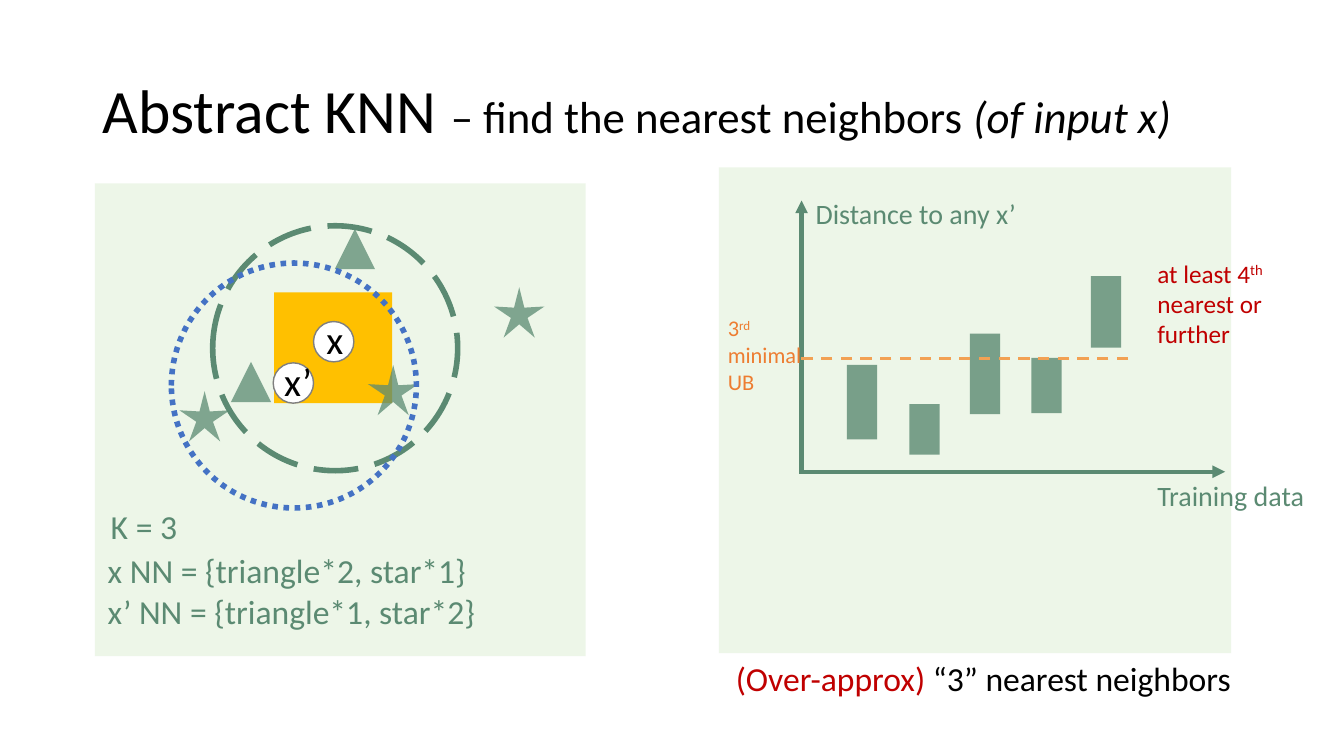
from lxml import etree
from pptx import Presentation
from pptx.dml.color import RGBColor
from pptx.enum.dml import MSO_LINE
from pptx.enum.shapes import MSO_CONNECTOR, MSO_SHAPE
from pptx.enum.text import MSO_ANCHOR, MSO_AUTO_SIZE, PP_ALIGN
from pptx.oxml.ns import qn
from pptx.util import Inches, Pt

RECT = MSO_SHAPE.RECTANGLE
OVAL = MSO_SHAPE.OVAL
STAR = MSO_SHAPE.STAR_5_POINT
TRIANGLE = MSO_SHAPE.ISOSCELES_TRIANGLE
STRAIGHT = MSO_CONNECTOR.STRAIGHT
DASH = MSO_LINE.DASH
LONG_DASH = MSO_LINE.LONG_DASH
DOTS = MSO_LINE.ROUND_DOT
MIDDLE = MSO_ANCHOR.MIDDLE
LEFT = PP_ALIGN.LEFT
GROW = MSO_AUTO_SIZE.SHAPE_TO_FIT_TEXT
NO_FIT = MSO_AUTO_SIZE.NONE

FONT = "Calibri"
COLORS = {
    "green": "5B8A72", "panel": "E2F0D9", "gold": "FFC000", "blue": "4472C4",
    "orange": "ED7D31", "bound": "F2A154", "red": "C00000", "gray": "7F7F7F",
    "black": "000000", "white": "FFFFFF",
}


def draw(kind, box, fill=None, alpha=100, line=None, width=1, dash=None):
    shape = slide.shapes.add_shape(kind, *map(Inches, box))
    shape.shadow.inherit = False
    if fill:
        shape.fill.solid()
        shape.fill.fore_color.rgb = RGBColor.from_string(COLORS[fill])
        if alpha < 100:
            color = shape.fill._xPr.find(qn("a:solidFill"))[0]
            etree.SubElement(color, qn("a:alpha"), val=str(alpha * 1000))
    else:
        shape.fill.background()
    if line:
        shape.line.color.rgb = RGBColor.from_string(COLORS[line])
        shape.line.width = Pt(width)
        if dash:
            shape.line.dash_style = dash
    else:
        shape.line.fill.background()
    return shape


def write(paragraph, parts, size, color):
    for text, style in parts:
        run = paragraph.add_run()
        run.text = text
        run.font.name = FONT
        run.font.size = Pt(style.get("size", size))
        run.font.color.rgb = RGBColor.from_string(COLORS[style.get("color", color)])
        if style.get("italic"):
            run.font.italic = True
        if style.get("raised"):
            run._r.get_or_add_rPr().set("baseline", "30000")


prs = Presentation()
prs.slide_width = Inches(13.33)
prs.slide_height = Inches(7.5)
slide = prs.slides.add_slide(prs.slide_layouts[5])

title = slide.shapes.title
title.left, title.top, title.width, title.height = map(Inches, (0.92, 0.4, 11.85, 1.45))
title.text_frame.vertical_anchor = MIDDLE
title.text_frame.auto_size = NO_FIT
title.text_frame.word_wrap = True
heading = title.text_frame.paragraphs[0]
heading.alignment = LEFT
heading.line_spacing = 0.9
write(heading, [
    ("Abstract KNN ", {"size": 44}),
    ("– find the nearest neighbors ", {}),
    ("(of input x)", {"italic": True}),
], 32, "black")

draw(RECT, (7.13, 1.66, 5.08, 4.82), "panel", 60)
draw(RECT, (0.94, 1.82, 4.87, 4.69), "panel", 60)
draw(RECT, (2.72, 2.9, 1.17, 1.1), "gold")

for left, top, height in [
    (8.4, 3.62, 0.74), (9.02, 4.01, 0.5), (9.62, 3.31, 0.8),
    (10.23, 3.55, 0.55), (10.82, 2.74, 0.71),
]:
    draw(RECT, (left, top, 0.3, height), "green", 80)

for ends, color, width, dash in [
    ((7.95, 4.7, 7.95, 1.99), "green", 3, None),
    ((7.95, 4.68, 12.15, 4.68), "green", 3, None),
    ((11.19, 3.56, 7.89, 3.56), "bound", 2, DASH),
]:
    rule = slide.shapes.add_connector(STRAIGHT, *map(Inches, ends))
    rule.line.color.rgb = RGBColor.from_string(COLORS[color])
    rule.line.width = Pt(width)
    if dash:
        rule.line.dash_style = dash
    else:
        etree.SubElement(rule.line._get_or_add_ln(), qn("a:tailEnd"), type="triangle")
    etree.SubElement(rule._element.spPr, qn("a:effectLst"))

neighbors = [
    (STAR, 4.9, 2.85, 0.5), (STAR, 3.65, 3.62, 0.5), (STAR, 1.78, 3.88, 0.5),
    (TRIANGLE, 3.32, 2.27, 0.4), (TRIANGLE, 2.29, 3.59, 0.4),
]
for kind, left, top, size in neighbors:
    neighbor = draw(kind, (left, top, size, size), "green", 75)
    if kind == STAR:
        neighbor.adjustments[0] = 0.165

for left, top, color, dash in [(2.11, 2.24, "green", LONG_DASH), (1.7, 2.61, "blue", DOTS)]:
    draw(OVAL, (left, top, 2.43, 2.43), line=color, width=4, dash=dash)
for left, top in [(3.11, 3.19), (2.71, 3.6)]:
    draw(OVAL, (left, top, 0.4, 0.4), "white", line="gray")

labels = [
    ((7.99, 1.9, 2.78, 0.44), 20, "green", [[("Distance to any x’", {})]]),
    ((11.38, 4.7, 1.77, 0.44), 20, "green", [[("Training data", {})]]),
    ((7.12, 3.07, 1.04, 0.91), 16, "orange",
     [[("3", {}), ("rd", {"raised": True}), (" minimal UB", {})]]),
    ((7.2, 6.48, 5.37, 0.5), 24, "black",
     [[("(Over-approx) ", {"color": "red"}), ("“3” nearest neighbors", {})]]),
    ((0.97, 5.41, 4.89, 0.91), 24, "green",
     [[("x NN = {triangle*2, star*1}", {})], [("x’ NN = {triangle*1, star*2}", {})]]),
    ((3.14, 3.08, 0.37, 0.57), 28, "black", [[("x", {})]]),
    ((2.72, 3.5, 0.49, 0.57), 28, "black", [[("x’", {})]]),
    ((1, 4.97, 1.27, 0.5), 24, "green", [[("K = 3", {})]]),
    ((11.38, 2.51, 1.39, 1.01), 18, "red",
     [[("at least 4", {}), ("th", {"raised": True}), (" nearest or further", {})]]),
]
for box, size, color, lines in labels:
    frame = slide.shapes.add_textbox(*map(Inches, box)).text_frame
    frame.word_wrap = True
    frame.auto_size = GROW
    for index, parts in enumerate(lines):
        paragraph = frame.add_paragraph() if index else frame.paragraphs[0]
        write(paragraph, parts, size, color)

prs.save("out.pptx")
